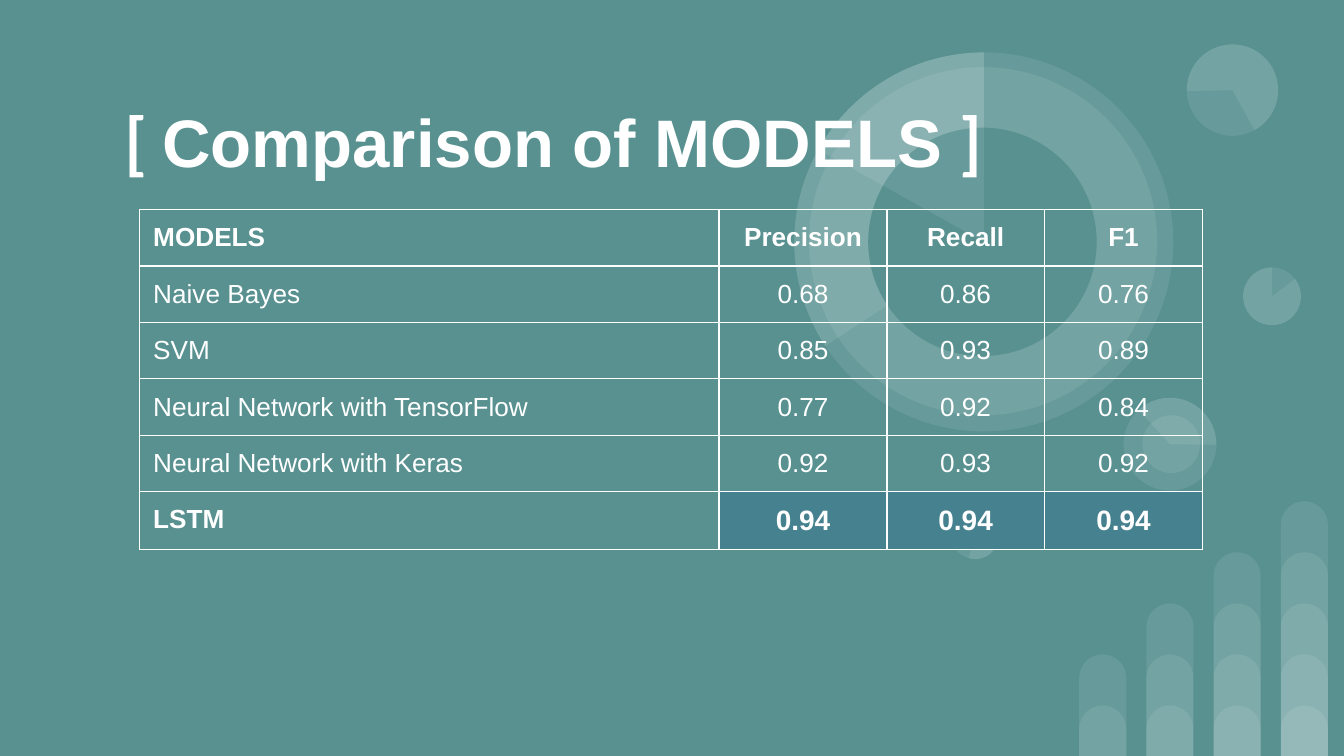
from dataclasses import dataclass

from lxml import etree
from pptx import Presentation
from pptx.dml.color import RGBColor
from pptx.enum import shapes, text
from pptx.oxml import ns
from pptx.util import Inches, Pt


@dataclass(frozen=True)
class Theme:
    background: RGBColor = RGBColor(0x59, 0x91, 0x91)
    white: RGBColor = RGBColor(0xFF, 0xFF, 0xFF)
    highlight: RGBColor = RGBColor(0x45, 0x81, 0x8E)
    veil_percent: int = 9
    body_font: str = "Arial"
    bracket_font: str = "Lato"
    title_size: int = 36
    cell_size: int = 14
    best_size: int = 15
    border_width: float = 0.75


@dataclass(frozen=True)
class Disc:
    """A circle, or a pie when slice angles are given (in units of 5/3 degree)."""
    left: float
    top: float
    size: float
    rotation: float = 0
    slice_angles: tuple[float, ...] = ()
    opaque: bool = False


@dataclass(frozen=True)
class ModelScore:
    model: str
    precision: str
    recall: str
    f1: str

    def cells(self) -> tuple[str, ...]:
        return self.model, self.precision, self.recall, self.f1


THEME = Theme()
SLIDE_WIDTH = 10
SLIDE_HEIGHT = SLIDE_WIDTH * 9 / 16
QUARTER_TOP = 162

DISCS = [
    Disc(9.25, 1.99, 0.43),
    Disc(9.25, 1.99, 0.43, 0, (193.77, QUARTER_TOP)),
    Disc(7.08, 3.81, 0.35, 196.2),
    Disc(7.08, 3.81, 0.35, 196.2, (193.77, QUARTER_TOP)),
    Disc(8.36, 2.96, 0.69, 90),
    Disc(8.36, 2.96, 0.69, 90, (82.45, 162.46)),
    Disc(8.5, 3.09, 0.43, 90),
    Disc(8.83, 0.33, 0.68, 215.9),
    Disc(8.83, 0.33, 0.68, 215.9, (193.77, 123.14)),
    Disc(5.91, 0.39, 2.82),
    Disc(6.02, 0.5, 2.59, 34.1),
    Disc(5.91, 0.39, 2.82, 0, (88.01, QUARTER_TOP)),
    Disc(6.46, 0.95, 1.7, 34.1, opaque=True),
    Disc(5.91, 0.39, 2.82, 0, (125.54, QUARTER_TOP)),
]

HEADINGS = ("MODELS", "Precision", "Recall", "F1")
SCORES = [
    ModelScore("Naive Bayes", "0.68", "0.86", "0.76"),
    ModelScore("SVM", "0.85", "0.93", "0.89"),
    ModelScore("Neural Network with TensorFlow", "0.77", "0.92", "0.84"),
    ModelScore("Neural Network with Keras", "0.92", "0.93", "0.92"),
    ModelScore("LSTM", "0.94", "0.94", "0.94"),
]
COLUMN_WIDTHS = (4.31, 1.25, 1.17, 1.18)
ROW_HEIGHT = 0.42


def add_backdrop(slide, kind, left: float, top: float, width: float,
                 height: float, opaque: bool = False):
    """Add a borderless shape in translucent white, or in the background colour."""
    backdrop = slide.shapes.add_shape(
        kind, Inches(left), Inches(top), Inches(width), Inches(height))
    backdrop.shadow.inherit = False
    backdrop.line.fill.background()
    backdrop.fill.solid()
    backdrop.fill.fore_color.rgb = THEME.background if opaque else THEME.white
    if not opaque:
        color = backdrop.fill._xPr.find(".//" + ns.qn("a:srgbClr"))
        etree.SubElement(color, ns.qn("a:alpha"), val=str(THEME.veil_percent * 1000))
    return backdrop


def draw_bars(slide) -> None:
    """Draw four rising columns, each made of overlapping bars."""
    for column in range(4):
        for level in range(column + 2):
            top = 5.25 - 0.38 * level
            bar = add_backdrop(slide, shapes.MSO_SHAPE.ROUND_2_SAME_RECTANGLE,
                               8.03 + 0.5 * column, top, 0.35, SLIDE_HEIGHT - top)
            bar.adjustments[0] = 0.5


def draw_disc(slide, disc: Disc) -> None:
    kind = shapes.MSO_SHAPE.PIE if disc.slice_angles else shapes.MSO_SHAPE.OVAL
    circle = add_backdrop(slide, kind, disc.left, disc.top,
                          disc.size, disc.size, disc.opaque)
    circle.rotation = disc.rotation
    for index, angle in enumerate(disc.slice_angles):
        circle.adjustments[index] = angle


def write_title(slide) -> None:
    """Fill the title and bring it in front of the backdrop."""
    title = slide.shapes.title
    slide.shapes._spTree.append(title._element)
    title.left, title.top = Inches(0.83), Inches(0.65)
    title.width, title.height = Inches(9.17), Inches(1.09)
    frame = title.text_frame
    frame.word_wrap = True
    frame.auto_size = text.MSO_AUTO_SIZE.NONE
    frame.vertical_anchor = text.MSO_ANCHOR.TOP
    frame.margin_left = frame.margin_right = Inches(0.1)
    frame.margin_top = frame.margin_bottom = Inches(0.1)
    heading = frame.paragraphs[0]
    heading.alignment = text.PP_ALIGN.LEFT
    heading.line_spacing = 1.0
    heading.font.size = Pt(THEME.title_size)
    heading.font.bold = True
    heading.font.color.rgb = THEME.white
    for words, font in (("[ ", THEME.bracket_font),
                        ("Comparison of MODELS ", THEME.body_font),
                        ("]", THEME.bracket_font)):
        run = heading.add_run()
        run.text = words
        run.font.name = font


def set_borders(cell) -> None:
    properties = cell._tc.get_or_add_tcPr()
    for side in ("lnL", "lnR", "lnT", "lnB"):
        border = etree.SubElement(properties, ns.qn(f"a:{side}"),
                                  w=str(Pt(THEME.border_width)))
        fill = etree.SubElement(border, ns.qn("a:solidFill"))
        etree.SubElement(fill, ns.qn("a:srgbClr"), val=str(THEME.white))


def write_cell(cell, words: str, centred: bool, bold: bool, best: bool) -> None:
    set_borders(cell)
    if best:
        cell.fill.solid()
        cell.fill.fore_color.rgb = THEME.highlight
    else:
        cell.fill.background()
    cell.margin_left = cell.margin_right = Inches(0.1)
    cell.margin_top = cell.margin_bottom = Inches(0.1)
    cell.text = words
    entry = cell.text_frame.paragraphs[0]
    entry.alignment = text.PP_ALIGN.CENTER if centred else text.PP_ALIGN.LEFT
    entry.font.name = THEME.body_font
    entry.font.size = Pt(THEME.best_size if best else THEME.cell_size)
    entry.font.bold = bold
    entry.font.color.rgb = THEME.white


def draw_scores(slide) -> None:
    rows = [HEADINGS] + [score.cells() for score in SCORES]
    last = len(rows) - 1
    scores = slide.shapes.add_table(
        len(rows), len(HEADINGS), Inches(1.04), Inches(1.56),
        Inches(sum(COLUMN_WIDTHS)), Inches(ROW_HEIGHT * len(rows))).table
    scores.first_row = scores.horz_banding = False
    for column, width in zip(scores.columns, COLUMN_WIDTHS):
        column.width = Inches(width)
    for r, row in enumerate(rows):
        scores.rows[r].height = Inches(ROW_HEIGHT)
        for c, words in enumerate(row):
            write_cell(scores.cell(r, c), words, centred=c > 0,
                       bold=r in (0, last), best=r == last and c > 0)


def main() -> None:
    deck = Presentation()
    deck.slide_width, deck.slide_height = Inches(SLIDE_WIDTH), Inches(SLIDE_HEIGHT)
    slide = deck.slides.add_slide(deck.slide_layouts[5])
    slide.background.fill.solid()
    slide.background.fill.fore_color.rgb = THEME.background
    draw_bars(slide)
    for disc in DISCS:
        draw_disc(slide, disc)
    write_title(slide)
    draw_scores(slide)
    deck.save("out.pptx")


if __name__ == "__main__":
    main()
